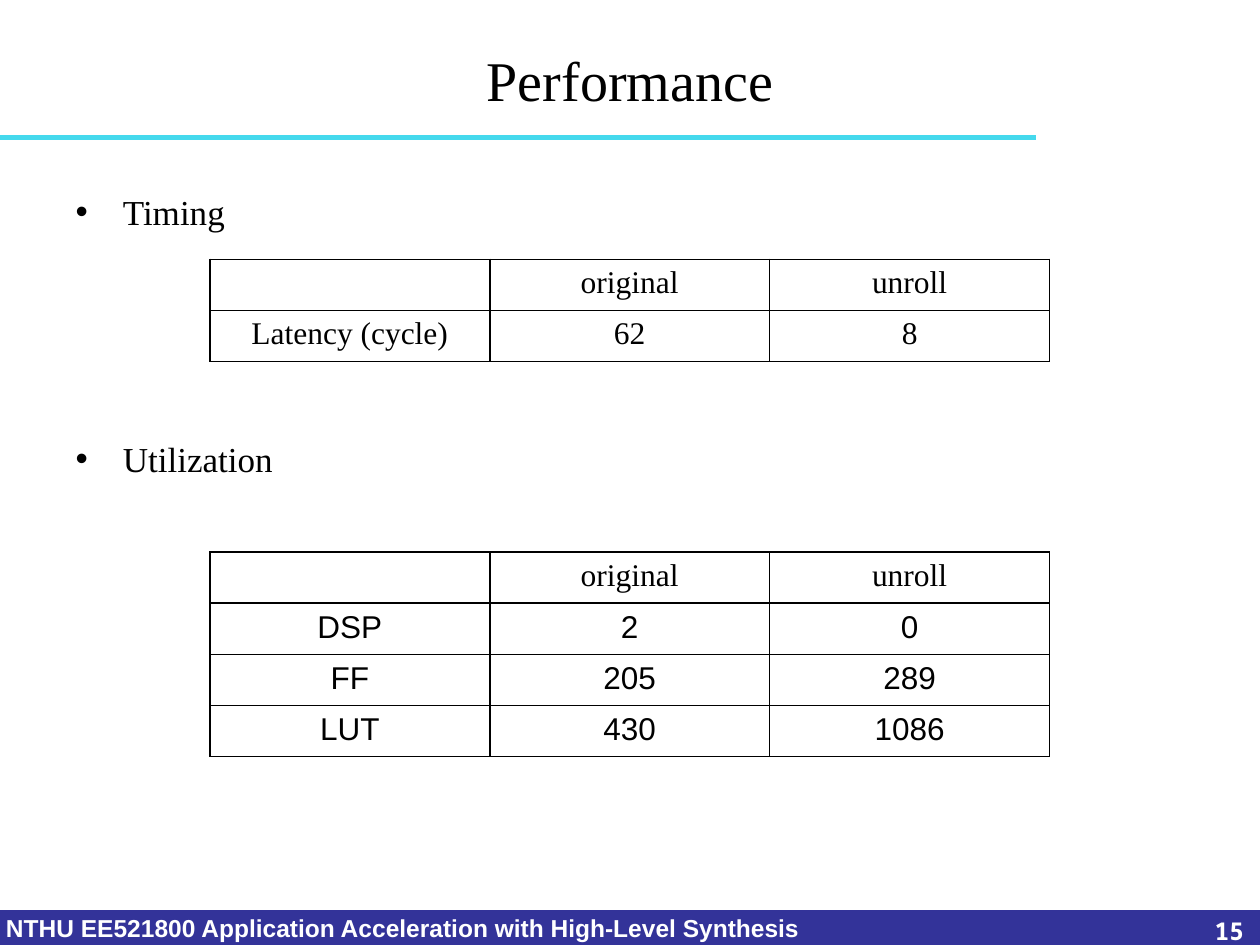
"""Build the Performance slide with its timing and utilization tables."""
from lxml.etree import SubElement
from pptx import Presentation
from pptx.dml.color import RGBColor
from pptx.enum.shapes import MSO_CONNECTOR as Connector, MSO_SHAPE as Shape
from pptx.enum.text import MSO_ANCHOR as Anchor, MSO_AUTO_SIZE as AutoSize, PP_ALIGN as Align
from pptx.oxml import parse_xml
from pptx.oxml.ns import nsdecls, qn
from pptx.util import Cm, Pt

BLACK = RGBColor(0x00, 0x00, 0x00)
WHITE = RGBColor(0xFF, 0xFF, 0xFF)
NAVY = RGBColor(0x33, 0x33, 0x99)
CYAN = RGBColor(0x45, 0xD9, 0xED)
SERIF, SANS, MONO = "Times New Roman", "Arial", "Noto Sans Mono"
HEADER = ("", "original", "unroll")
TIMING = (HEADER, ("Latency (cycle)", "62", "8"))
UTILIZATION = (HEADER, ("DSP", "2", "0"), ("FF", "205", "289"), ("LUT", "430", "1086"))


def format_paragraph(para, face, size, color=BLACK, align=Align.LEFT, bold=False):
    """Set the font and alignment of a whole paragraph."""
    para.alignment = align
    font = para.font
    font.name, font.size, font.bold = face, Pt(size), bold
    font.color.rgb = color


def place(box, left, top, width, height):
    """Move and size a shape, in centimetres."""
    box.left, box.top, box.width, box.height = Cm(left), Cm(top), Cm(width), Cm(height)


def add_label(page, text, left, top, width, face, align):
    """Add a bold white line of text for the footer."""
    box = page.shapes.add_textbox(Cm(left), Cm(top), Cm(width), Cm(0.7))
    frame = box.text_frame
    frame.word_wrap = True
    frame.margin_left = Cm(0.12)
    frame.text = text
    format_paragraph(frame.paragraphs[0], face, 14, WHITE, align, True)


def add_footer(page):
    """Add the footer bar, course name and page number."""
    bar = page.shapes.add_shape(Shape.RECTANGLE, 0, Cm(18.36), Cm(25.4), Cm(0.69))
    bar.shadow.inherit = False
    bar.fill.solid()
    bar.fill.fore_color.rgb = NAVY
    bar.line.color.rgb = NAVY
    bar.line.width = Pt(0.75)
    add_label(page, "NTHU EE521800 Application Acceleration with High-Level Synthesis",
              0, 18.29, 19.1, SANS, Align.LEFT)
    add_label(page, "15", 19.41, 18.34, 5.92, MONO, Align.RIGHT)


def add_rule(page):
    """Add the coloured line below the title."""
    rule = page.shapes.add_connector(Connector.STRAIGHT, 0, Cm(2.77), Cm(20.88), Cm(2.77))
    rule.line.color.rgb = CYAN
    rule.line.width = Pt(3)
    SubElement(rule.element.spPr, qn("a:effectLst"))


def fill_title(page, text):
    """Fill and format the title placeholder."""
    title = page.shapes.title
    place(title, 1.27, 0, 22.86, 3.18)
    frame = title.text_frame
    frame.text = text
    frame.auto_size = AutoSize.NONE
    frame.vertical_anchor = Anchor.MIDDLE
    format_paragraph(frame.paragraphs[0], SERIF, 32, align=Align.CENTER)


def fill_body(page, items):
    """Fill the body placeholder with (text, space before) bullets."""
    body = page.placeholders[1]
    place(body, 1.27, 3.71, 22.86, 12.57)
    frame = body.text_frame
    frame.text = "\n".join(text for text, gap in items)
    frame.auto_size = AutoSize.NONE
    for para, (text, gap) in zip(frame.paragraphs, items):
        format_paragraph(para, SERIF, 20, align=Align.JUSTIFY)
        para.space_before = Pt(gap)


def add_borders(cell):
    """Draw a thin black line on each side of a cell."""
    properties = cell._tc.get_or_add_tcPr()
    for index, side in enumerate(("lnL", "lnR", "lnT", "lnB")):
        properties.insert(index, parse_xml(
            f'<a:{side} {nsdecls("a")} w="{Pt(1)}"><a:solidFill>'
            f'<a:srgbClr val="{BLACK}"/></a:solidFill></a:{side}>'))


def add_grid(page, rows, top, body_face):
    """Add a bordered table with equal columns and rows."""
    row_height = Cm(1.03)
    table = page.shapes.add_table(len(rows), len(HEADER), Cm(4.23), Cm(top),
                                  Cm(16.93), row_height * len(rows)).table
    table.first_row = table.horz_banding = False
    for row_index, values in enumerate(rows):
        for column_index, value in enumerate(values):
            cell = table.cell(row_index, column_index)
            cell.text = value
            cell.fill.background()
            add_borders(cell)
            face = body_face if row_index else SERIF
            format_paragraph(cell.text_frame.paragraphs[0], face, 18, align=Align.CENTER)


def main():
    """Build and save the deck."""
    deck = Presentation()
    deck.slide_width, deck.slide_height = Cm(25.4), Cm(19.05)
    page = deck.slides.add_slide(deck.slide_layouts[1])
    add_footer(page)
    add_rule(page)
    fill_title(page, "Performance")
    fill_body(page, (("Timing", 4), ("Utilization", 117)))
    add_grid(page, TIMING, 5.23, SERIF)
    add_grid(page, UTILIZATION, 11.13, SANS)
    deck.save("out.pptx")


main()
